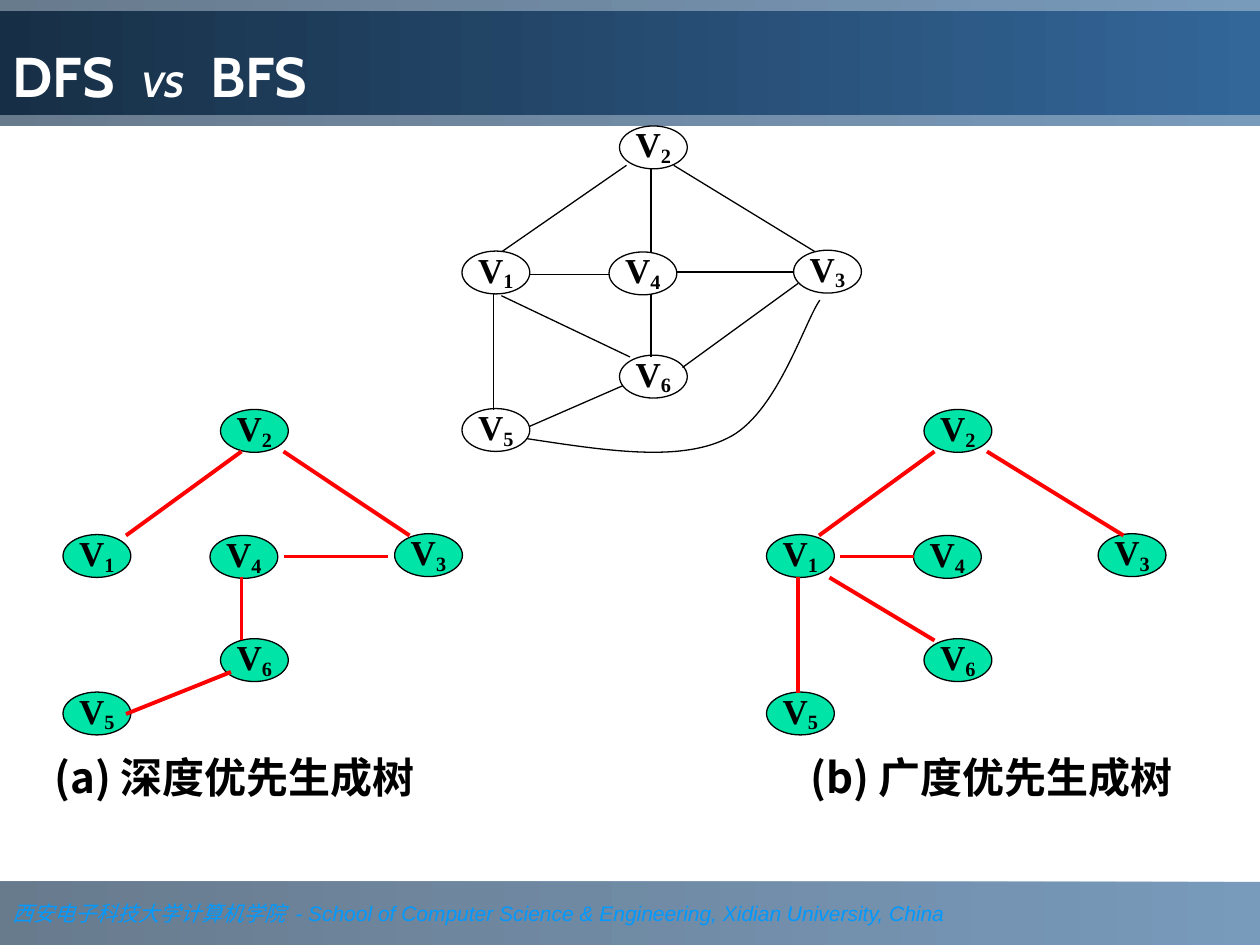
from dataclasses import dataclass

from lxml import etree
from pptx import Presentation
from pptx.dml.color import RGBColor
from pptx.enum.shapes import MSO_CONNECTOR, MSO_SHAPE
from pptx.enum.text import MSO_ANCHOR, MSO_AUTO_SIZE, PP_ALIGN
from pptx.oxml.ns import qn
from pptx.util import Pt

RECTANGLE, ELLIPSE = MSO_SHAPE.RECTANGLE, MSO_SHAPE.OVAL
STRAIGHT = MSO_CONNECTOR.STRAIGHT
LEFT, CENTER = PP_ALIGN.LEFT, PP_ALIGN.CENTER
MIDDLE, BOTTOM = MSO_ANCHOR.MIDDLE, MSO_ANCHOR.BOTTOM
NO_AUTOFIT = MSO_AUTO_SIZE.NONE

Point = tuple[float, float]
Edge = tuple[Point, Point]


@dataclass(frozen=True)
class Theme:
    black: str = "000000"
    white: str = "FFFFFF"
    visited: str = "00E4A8"
    tree_edge: str = "FF0000"
    footer: str = "0099FF"
    blue: str = "336699"
    band_dark: str = "1B3753"
    title_dark: str = "172F46"
    title_font: str = "Cabin"
    vertex_font: str = "Times New Roman"
    latin_font: str = "Arial"
    chinese_font: str = "Noto Sans CJK SC"
    title_size: float = 32
    versus_size: float = 20
    vertex_size: float = 20
    caption_size: float = 24
    footer_size: float = 12
    thin: float = 0.75
    thick: float = 2.25


@dataclass(frozen=True)
class Piece:
    text: str
    font: str
    size: float
    color: str
    bold: bool = False
    italic: bool = False
    tracking: float = 0  # extra points after each character
    baseline: int = 0  # percent


@dataclass(frozen=True)
class Graph:
    origin: Point  # top left of V1
    fill: str
    edge_color: str
    edge_width: float
    edges_in_front: tuple[Edge, ...]
    edges_behind: tuple[Edge, ...] = ()
    curve: tuple[Point, ...] = ()  # start, then three points per Bézier
    caption: str = ""


THEME = Theme()

# Vertex places relative to V1, shared by all three graphs
VERTEX_SIZE = (38.75, 24.5)
VERTICES = {1: (0, 0), 2: (90, -71.5), 3: (189.5, -0.5),
            4: (84, 0.5), 5: (0, 90), 6: (90, 59.5)}

GRAPHS = (
    Graph((264, 143.5), THEME.white, THEME.black, THEME.thin,
          edges_in_front=(((372, 144), (372, 96)), ((456, 162), (390, 210)),
                          ((282, 168), (282, 234)), ((372, 168), (372, 204))),
          edges_behind=(((358, 94.5), (286.5, 144)), ((385, 94.5), (466, 144)),
                        ((286.5, 169), (360, 204)), ((352, 157), (294.5, 157)),
                        ((382.5, 155.5), (453, 155.5)), ((358, 219.5), (299.5, 245))),
          curve=((300, 250.5), (343.5, 257), (387.5, 264.5), (415.5, 250.5),
                 (443.5, 237.5), (459.5, 184.5), (468.5, 171.5))),
    Graph((36, 305.5), THEME.visited, THEME.tree_edge, THEME.thick,
          edges_in_front=(((72, 306), (138, 258)), ((162, 258), (234, 306)),
                          ((222, 318), (162, 318)), ((138, 330), (138, 366)),
                          ((132, 384), (72, 408))),
          caption="(a) 深度优先生成树"),
    Graph((438, 305.5), THEME.visited, THEME.tree_edge, THEME.thick,
          edges_in_front=(((468, 306), (534, 258)), ((480, 318), (522, 318)),
                          ((456, 330), (456, 396)), ((474, 330), (534, 366)),
                          ((564, 258), (642, 306))),
          caption="(b) 广度优先生成树"),
)
CAPTION_OFFSET = {36: -12, 438: 18}  # caption left minus V1 left


def rgb(color: str) -> RGBColor:
    return RGBColor.from_string(color)


def write(paragraph, pieces: tuple[Piece, ...], align=LEFT) -> None:
    paragraph.alignment = align
    for piece in pieces:
        run = paragraph.add_run()
        run.text = piece.text
        run.font.name, run.font.size = piece.font, Pt(piece.size)
        run.font.bold, run.font.italic = piece.bold, piece.italic
        run.font.color.rgb = rgb(piece.color)
        props = run.font._element
        east_asian = etree.SubElement(props, qn("a:ea"))
        east_asian.set("typeface", THEME.chinese_font)
        if piece.tracking:
            props.set("spc", str(int(piece.tracking * 100)))
        if piece.baseline:
            props.set("baseline", str(piece.baseline * 1000))


def fill_gradient(shape, dark: str, opacity: int = 100) -> None:
    shape.fill.gradient()
    shape.fill.gradient_angle = 180
    for stop, color in zip(shape.fill.gradient_stops, (THEME.blue, dark)):
        stop.color.rgb = rgb(color)
    if opacity < 100:
        for color in shape._element.spPr.iter(qn("a:srgbClr")):
            etree.SubElement(color, qn("a:alpha")).set("val", str(opacity * 1000))


def add_band(slide, top: float, height: float):
    band = slide.shapes.add_shape(RECTANGLE, 0, Pt(top), Pt(720), Pt(height))
    band.shadow.inherit = False
    fill_gradient(band, THEME.band_dark, 66)
    band.line.fill.background()
    slide.shapes._spTree.insert(2, band._element)  # behind the title
    return band


def add_vertex(shapes, number: int, graph: Graph) -> None:
    place = [Pt(start + step) for start, step in zip(graph.origin, VERTICES[number])]
    vertex = shapes.add_shape(ELLIPSE, *place, *map(Pt, VERTEX_SIZE))
    vertex.shadow.inherit = False
    vertex.fill.solid()
    vertex.fill.fore_color.rgb = rgb(graph.fill)
    vertex.line.color.rgb, vertex.line.width = rgb(THEME.black), Pt(THEME.thin)
    frame = vertex.text_frame
    frame.margin_left = frame.margin_right = frame.margin_top = frame.margin_bottom = 0
    frame.vertical_anchor = MSO_ANCHOR.TOP
    frame.paragraphs[0].line_spacing = 0.72
    style = (THEME.vertex_font, THEME.vertex_size, THEME.black, True)
    write(frame.paragraphs[0],
          (Piece("V", *style), Piece(str(number), *style, baseline=-16)), CENTER)


def add_edges(shapes, edges: tuple[Edge, ...], graph: Graph) -> None:
    for start, end in edges:
        edge = shapes.add_connector(STRAIGHT, *map(Pt, start + end))
        edge.line.color.rgb, edge.line.width = rgb(graph.edge_color), Pt(graph.edge_width)
        etree.SubElement(edge._element.spPr, qn("a:effectLst"))


def add_curve(shapes, graph: Graph) -> None:
    start, *others = [(Pt(x), Pt(y)) for x, y in graph.curve]
    builder = shapes.build_freeform(*start)
    builder.add_line_segments(others, close=False)
    curve = builder.convert_to_shape()
    curve.shadow.inherit = False
    curve.fill.background()
    curve.line.color.rgb, curve.line.width = rgb(graph.edge_color), Pt(graph.edge_width)
    # Every three segments become one Bézier
    segments = list(curve._element.iter(qn("a:lnTo")))
    for first in range(0, len(segments), 3):
        bezier = etree.SubElement(segments[first].getparent(), qn("a:cubicBezTo"))
        for segment in segments[first:first + 3]:
            bezier.append(segment[0])
            segment.getparent().remove(segment)


def add_caption(shapes, graph: Graph) -> None:
    left = graph.origin[0] + CAPTION_OFFSET[graph.origin[0]]
    caption = shapes.add_textbox(Pt(left), Pt(426), Pt(234), Pt(65))
    caption.text_frame.word_wrap = True
    write(caption.text_frame.paragraphs[0],
          (Piece(graph.caption, THEME.chinese_font, THEME.caption_size, THEME.black, True),))


def add_graph(slide, graph: Graph) -> None:
    shapes = slide.shapes.add_group_shape().shapes
    if graph.curve:
        add_curve(shapes, graph)
    add_edges(shapes, graph.edges_behind, graph)
    for number in VERTICES:
        add_vertex(shapes, number, graph)
    add_edges(shapes, graph.edges_in_front, graph)
    if graph.caption:
        add_caption(shapes, graph)


def add_title(slide) -> None:
    title = slide.shapes.title
    title.left, title.top, title.width, title.height = 0, Pt(6), Pt(720), Pt(60)
    fill_gradient(title, THEME.title_dark)
    title.text_frame.vertical_anchor = BOTTOM
    title.text_frame.auto_size = NO_AUTOFIT
    large = (THEME.title_font, THEME.title_size, THEME.white, True)
    gap = Piece(" ", *large, tracking=8)
    versus = Piece("VS", THEME.title_font, THEME.versus_size, THEME.white, True, True)
    write(title.text_frame.paragraphs[0],
          (Piece("DFS", *large), gap, versus, gap, Piece("BFS", *large)))


def add_footer(slide) -> None:
    frame = add_band(slide, 504, 36).text_frame
    frame.word_wrap, frame.vertical_anchor = True, MIDDLE
    style = (THEME.footer_size, THEME.footer, False, True)
    write(frame.paragraphs[0], (
        Piece("西安电子科技大学计算机学院", THEME.vertex_font, *style),
        Piece(" ", THEME.vertex_font, *style, tracking=3),
        Piece("- School of Computer Science & Engineering, Xidian University, China",
              THEME.latin_font, *style)))


def main() -> None:
    deck = Presentation()
    deck.slide_width, deck.slide_height = Pt(720), Pt(540)
    slide = deck.slides.add_slide(deck.slide_layouts[5])
    add_band(slide, 0, 72)
    add_footer(slide)
    add_title(slide)
    for graph in GRAPHS:
        add_graph(slide, graph)
    deck.save("out.pptx")


if __name__ == "__main__":
    main()
